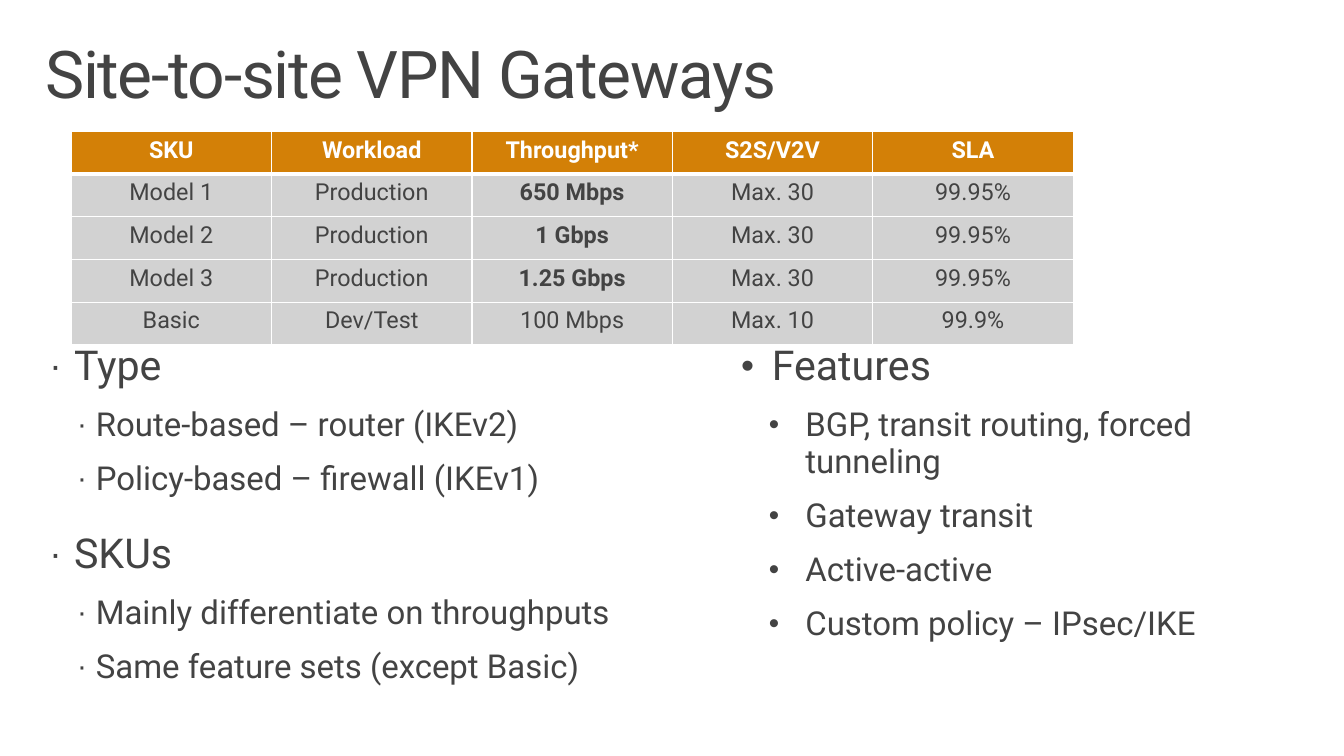
from dataclasses import dataclass

from lxml.etree import SubElement
from pptx import Presentation
from pptx.dml.color import RGBColor
from pptx.enum.text import MSO_ANCHOR, PP_ALIGN
from pptx.oxml.ns import qn
from pptx.slide import Slide
from pptx.table import _Cell
from pptx.text.text import TextFrame, _Paragraph
from pptx.util import Inches, Pt

FONT = "Roboto"
DARK = "434343"
WHITE = "FFFFFF"
ORANGE = "D38007"
GRAY = "D2D2D2"

ROWS = [
    ("SKU", "Workload", "Throughput*", "S2S/V2V", "SLA"),
    ("Model 1", "Production", "650 Mbps", "Max. 30", "99.95%"),
    ("Model 2", "Production", "1 Gbps", "Max. 30", "99.95%"),
    ("Model 3", "Production", "1.25 Gbps", "Max. 30", "99.95%"),
    ("Basic", "Dev/Test", "100 Mbps", "Max. 10", "99.9%"),
]


@dataclass
class Level:
    margin: float
    hang: float
    size: float
    before: float


@dataclass
class Panel:
    left: float
    height: float
    mark: str
    levels: tuple[Level, Level]
    items: list[tuple[int, str]]


PANELS = [
    Panel(0.3, 4.91, "·", (Level(0.25, 0.25, 30, 12.2), Level(0.47, 0.19, 24, 0)), [
        (0, "Type"),
        (1, "Route-based – router (IKEv2)"),
        (1, "Policy-based – firewall (IKEv1)"),
        (0, "SKUs"),
        (1, "Mainly differentiate on throughputs"),
        (1, "Same feature sets (except Basic)"),
    ]),
    Panel(7.3, 3.27, "•", (Level(0.31, 0.31, 30, 12.2), Level(0.65, 0.37, 24, 0)), [
        (0, "Features"),
        (1, "BGP, transit routing, forced tunneling"),
        (1, "Gateway transit"),
        (1, "Active-active"),
        (1, "Custom policy – IPsec/IKE"),
    ]),
]


def color(code: str) -> RGBColor:
    return RGBColor.from_string(code)


def style(para: _Paragraph, size: float, code: str, bold: bool = False) -> None:
    for run in para.runs:
        run.font.name = FONT
        run.font.size = Pt(size)
        run.font.bold = bold
        run.font.color.rgb = color(code)


def add_box(slide: Slide, left: float, top: float, width: float,
            height: float, inset: tuple[float, float]) -> TextFrame:
    box = slide.shapes.add_textbox(Inches(left), Inches(top), Inches(width), Inches(height))
    frame = box.text_frame
    frame.word_wrap = True
    frame.vertical_anchor = MSO_ANCHOR.TOP
    frame.margin_left, frame.margin_right = map(Inches, inset)
    frame.margin_top = frame.margin_bottom = Inches(0.1)
    return frame


def add_title(slide: Slide, text: str) -> None:
    frame = add_box(slide, 0.3, 0.32, 13, 1, (0.16, 0.16))
    frame.text = text
    para = frame.paragraphs[0]
    para.line_spacing = 0.9
    style(para, 48, DARK)
    para.runs[0].font._element.set("spc", "-100")


def add_mark(para: _Paragraph, mark: str, level: Level) -> None:
    props = para._p.get_or_add_pPr()
    props.set("marL", str(Inches(level.margin)))
    props.set("indent", str(-Inches(level.hang)))
    tint = SubElement(props, qn("a:buClr"))
    SubElement(tint, qn("a:srgbClr"), val=DARK)
    SubElement(props, qn("a:buSzPct"), val="90000")
    SubElement(props, qn("a:buFont"), typeface="Arial")
    SubElement(props, qn("a:buChar"), char=mark)


def add_panel(slide: Slide, panel: Panel) -> None:
    frame = add_box(slide, panel.left, 3.37, 6, panel.height, (0.2, 0.1))
    for index, (depth, text) in enumerate(panel.items):
        para = frame.add_paragraph() if index else frame.paragraphs[0]
        level = panel.levels[depth]
        para.text = text
        para.level = depth
        add_mark(para, panel.mark, level)
        para.line_spacing = 0.95
        para.space_before = Pt(level.before if index else 0)
        para.space_after = Pt(12)
        style(para, level.size, DARK)


def add_edges(cell: _Cell, top: float, base: float) -> None:
    props = cell._tc.get_or_add_tcPr()
    for side, width in (("L", 1), ("R", 1), ("T", top), ("B", base)):
        edge = SubElement(props, qn(f"a:ln{side}"), w=str(Pt(width)))
        fill = SubElement(edge, qn("a:solidFill"))
        SubElement(fill, qn("a:srgbClr"), val=WHITE)


def add_grid(slide: Slide) -> None:
    shape = slide.shapes.add_table(len(ROWS), len(ROWS[0]), Inches(0.72), Inches(1.33),
                                   Inches(10.14), Inches(2.16))
    table = shape.table
    table.horz_banding = False
    for r, texts in enumerate(ROWS):
        for c, text in enumerate(texts):
            cell = table.cell(r, c)
            add_edges(cell, 3 if r == 1 else 1, 3 if r == 0 else 1)
            cell.fill.solid()
            cell.fill.fore_color.rgb = color(GRAY if r else ORANGE)
            cell.text_frame.text = text
            para = cell.text_frame.paragraphs[0]
            para.alignment = PP_ALIGN.CENTER
            bold = r == 0 or (c == 2 and r < 4)
            style(para, 17, DARK if r else WHITE, bold)


def main() -> None:
    deck = Presentation()
    deck.slide_width = Inches(13.6)
    deck.slide_height = Inches(7.65)
    slide = deck.slides.add_slide(deck.slide_layouts[6])
    add_title(slide, "Site-to-site VPN Gateways")
    for panel in PANELS:
        add_panel(slide, panel)
    add_grid(slide)
    deck.save("out.pptx")


if __name__ == "__main__":
    main()
